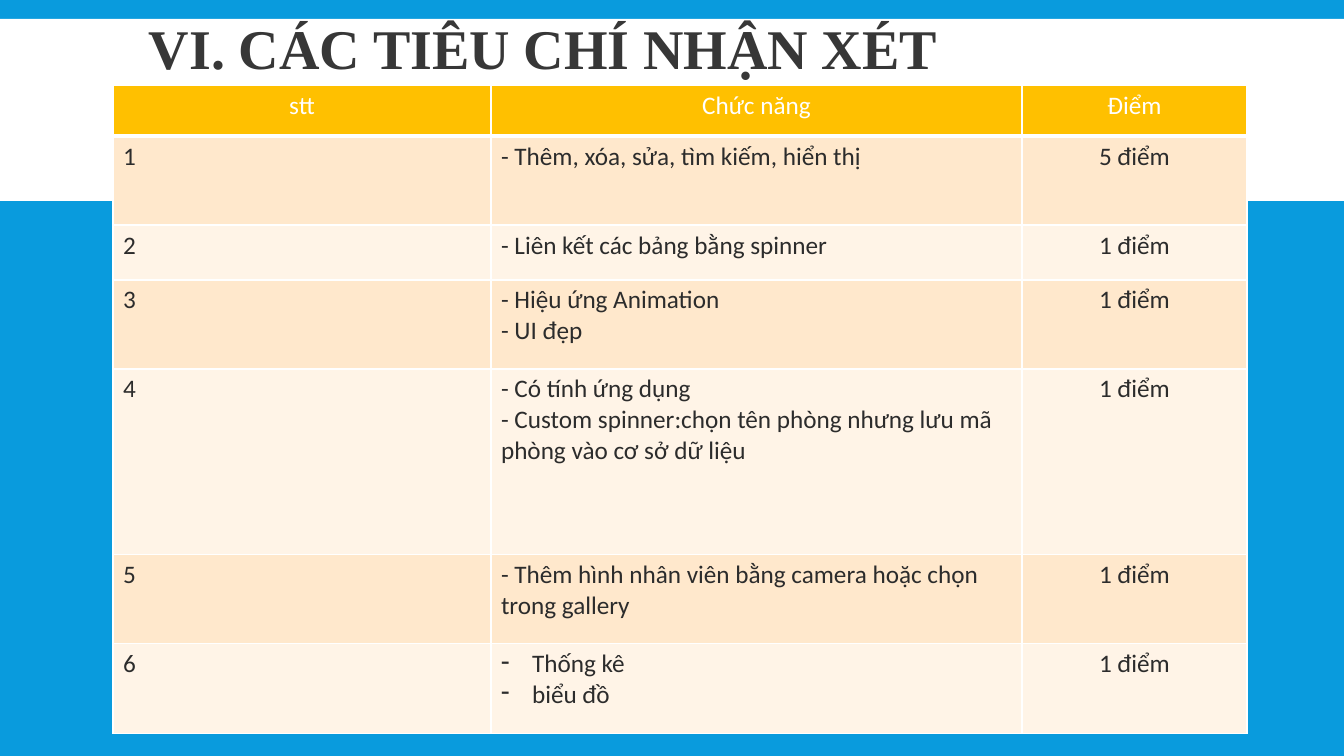
from lxml import etree
from pptx import Presentation, util as u
from pptx.dml.color import RGBColor
from pptx.enum import shapes, text
from pptx.oxml.ns import qn

HEADING = "VI. CÁC TIÊU CHÍ NHẬN XÉT"
HEADERS = ["stt", "Chức năng", "Điểm"]
CRITERIA = [
    (["- Thêm, xóa, sửa, tìm kiếm, hiển thị"], "5 điểm"),
    (["- Liên kết các bảng bằng spinner"], "1 điểm"),
    (["- Hiệu ứng Animation", "- UI đẹp"], "1 điểm"),
    (["- Có tính ứng dụng",
      "- Custom spinner:chọn tên phòng nhưng lưu mã phòng vào cơ sở dữ liệu"], "1 điểm"),
    (["- Thêm hình nhân viên bằng camera hoặc chọn trong gallery"], "1 điểm"),
    (["Thống kê", "biểu đồ"], "1 điểm"),
]
BULLETED_ROW = 6
COLUMN_WIDTHS = [378, 531, 225]
ROW_HEIGHTS = [51, 89, 55, 89, 186, 89, 90]
BLUE, WHITE, GOLD = "099BDD", "FFFFFF", "FFC000"
BANDS = ["FFF4E7", "FFE8CC"]
HEADING_INK, BODY_INK = "373737", "2C2C2C"


def px(length):
    return u.Emu(round(length * 914400 / 100.8))


def rgb(value):
    return RGBColor.from_string(value)


def paint(fill, color):
    fill.solid()
    fill.fore_color.rgb = rgb(color)


def write(paragraph, words, font, size, color, bold=False):
    run = paragraph.add_run()
    run.text = words
    run.font.name = font
    run.font.size = u.Pt(size)
    run.font.bold = bold
    run.font.color.rgb = rgb(color)


def add_dash(paragraph):
    properties = paragraph._p.get_or_add_pPr()
    properties.set("marL", str(px(31)))
    properties.set("indent", str(-px(31)))
    etree.SubElement(properties, qn("a:buChar")).set("char", "-")


def add_borders(cell, bottom):
    properties = cell._tc.get_or_add_tcPr()
    for side, points in zip("LRTB", (1, 1, 1, bottom)):
        line = etree.SubElement(properties, qn(f"a:ln{side}"), w=str(u.Pt(points)))
        solid = etree.SubElement(line, qn("a:solidFill"))
        etree.SubElement(solid, qn("a:srgbClr")).set("val", WHITE)


def fill_cell(cell, lines, fill, ink, centred, bottom=1, bulleted=False):
    add_borders(cell, bottom)
    paint(cell.fill, fill)
    frame = cell.text_frame
    for index, words in enumerate(lines):
        paragraph = frame.add_paragraph() if index else frame.paragraphs[0]
        paragraph.alignment = text.PP_ALIGN.CENTER if centred else text.PP_ALIGN.LEFT
        if bulleted:
            add_dash(paragraph)
        write(paragraph, words, "Calibri", 18, ink)


def main():
    deck = Presentation()
    deck.slide_width, deck.slide_height = px(1344), px(756)
    slide = deck.slides.add_slide(deck.slide_layouts[6])
    paint(slide.background.fill, BLUE)

    band = slide.shapes.add_shape(
        shapes.MSO_SHAPE.RECTANGLE, px(0), px(19), px(1344), px(182))
    band.shadow.inherit = False
    paint(band.fill, WHITE)
    band.line.fill.background()

    heading = slide.shapes.add_textbox(px(139), px(-29), px(1092), px(163)).text_frame
    heading.word_wrap = True
    heading.vertical_anchor = text.MSO_ANCHOR.MIDDLE
    heading.paragraphs[0].line_spacing = 0.85
    write(heading.paragraphs[0], HEADING, "Times New Roman", 40, HEADING_INK, True)

    scores = slide.shapes.add_table(
        len(ROW_HEIGHTS), len(COLUMN_WIDTHS), px(113), px(85),
        px(sum(COLUMN_WIDTHS)), px(sum(ROW_HEIGHTS))).table
    for column, width in zip(scores.columns, COLUMN_WIDTHS):
        column.width = px(width)
    for row, height in zip(scores.rows, ROW_HEIGHTS):
        row.height = px(height)

    for column, label in enumerate(HEADERS):
        fill_cell(scores.cell(0, column), [label], GOLD, WHITE, True, bottom=3)
    for number, (tasks, points) in enumerate(CRITERIA, 1):
        for column, lines in enumerate(([str(number)], tasks, [points])):
            fill_cell(scores.cell(number, column), lines, BANDS[number % 2], BODY_INK,
                      column == 2, bulleted=number == BULLETED_ROW and column == 1)

    deck.save("out.pptx")


if __name__ == "__main__":
    main()
